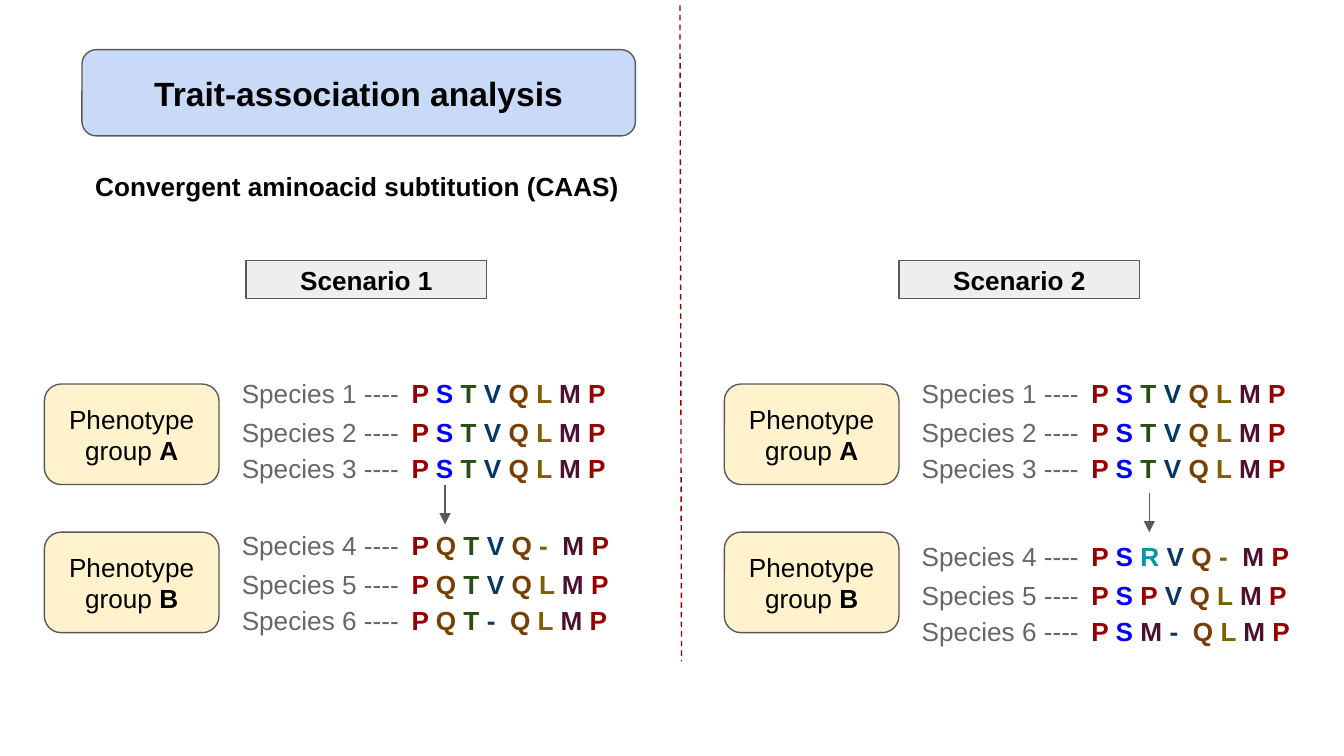
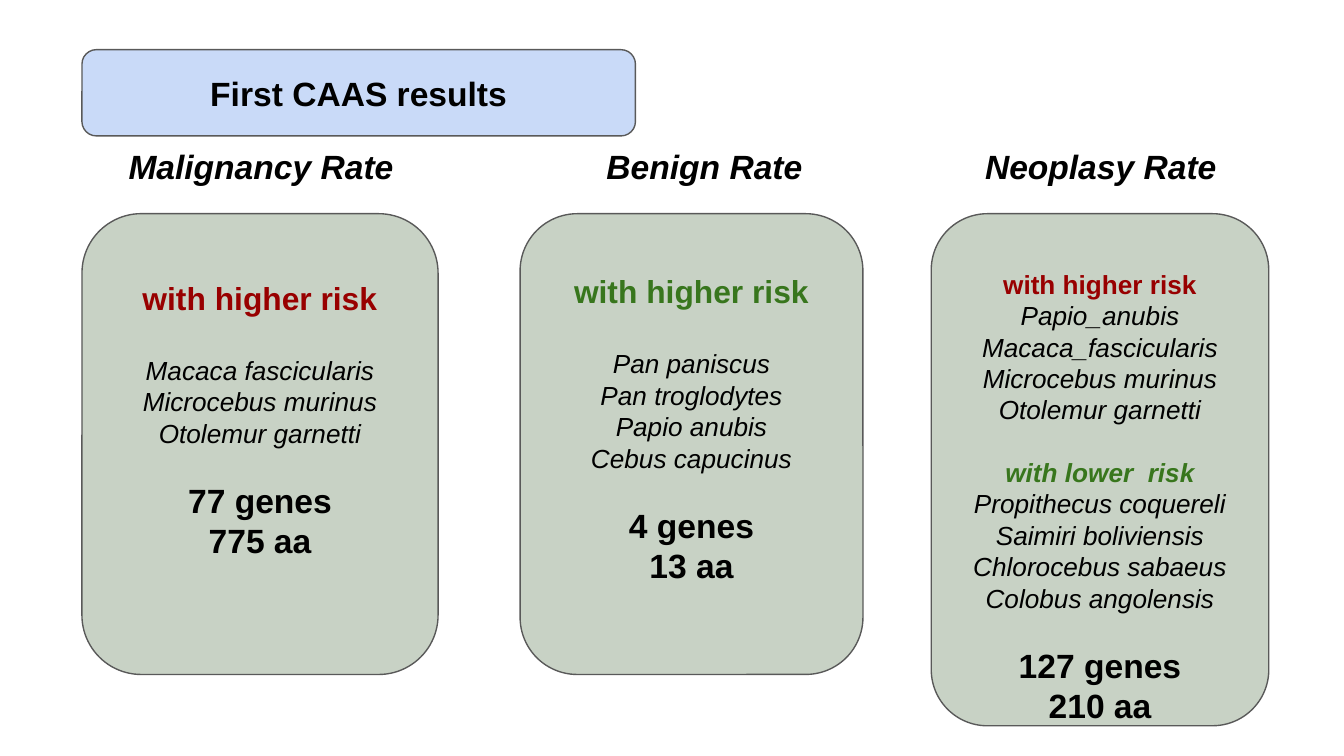
"""Build two slides on convergent aminoacid substitution analysis."""
from dataclasses import dataclass
from typing import NamedTuple, Sequence

from lxml.etree import SubElement
from pptx import Presentation
from pptx.dml.color import RGBColor
from pptx.enum.dml import MSO_LINE_DASH_STYLE as DASH
from pptx.enum.shapes import MSO_CONNECTOR as CONN, MSO_SHAPE as SHAPE
from pptx.enum.text import MSO_ANCHOR as ANCHOR, PP_ALIGN as ALIGN
from pptx.oxml.ns import qn
from pptx.util import Cm, Pt


@dataclass(frozen=True)
class Theme:
    font: str = "Arial"
    ink: str = "000000"
    grey: str = "666666"
    outline: str = "595959"
    title_fill: str = "C9DAF8"
    scenario_fill: str = "EEEEEE"
    group_fill: str = "FFF2CC"
    card_fill: str = "C8D2C5"
    red: str = "980000"
    green: str = "38761D"
    body: int = 14
    risk: int = 17
    title: int = 18
    spacer: int = 10
    line: float = 0.75
    inset: float = 0.25


T = Theme()
RESIDUES = {"P": T.red, "S": "0000FF", "T": "274E13", "V": "073763", "Q": "783F04",
            "L": "7F6000", "M": "4C1130", "R": "0097A7"}
CONSENSUS = "PSTVQLMP"


class Box(NamedTuple):
    x: float
    y: float
    w: float
    h: float


class Run(NamedTuple):
    text: str
    size: int = T.body
    color: str = T.ink
    bold: bool = False
    italic: bool = False


class Para(NamedTuple):
    runs: Sequence[Run]
    before: float = 0


class Scenario(NamedTuple):
    name: str
    shift: float
    label_x: float
    group_b: Sequence[str]
    group_b_y: float
    arrow_x: float
    arrow_y: float


class Block(NamedTuple):
    heading: Run
    species: Sequence[str]
    gap: float


class Card(NamedTuple):
    name: str
    name_x: float
    box: Box
    blocks: Sequence[Block]
    totals: Sequence[str]
    top: float = T.inset
    bottom: float = T.inset


SCENARIOS = (
    Scenario("Scenario 1", 0, 4.65, ("PQTVQ-MP", "PQTVQLMP", "PQT-QLMP"), 9.75, 8.41, 9.17),
    Scenario("Scenario 2", 12.85, 16.99, ("PSRVQ-MP", "PSPVQLMP", "PSM-QLMP"), 9.96, 21.72, 9.32),
)
GROUP_A = (CONSENSUS,) * 3
ROW_STEPS = (0, 0.74, 1.43)
BODY_GAP, RISK_GAP = 16.8, 20.4

CARDS = (
    Card("Malignancy Rate", 1.91, Box(1.55, 4.04, 6.73, 8.71),
         (Block(Run("with higher risk", T.risk, T.red, True),
                ("Macaca fascicularis", "Microcebus murinus", "Otolemur garnetti"), RISK_GAP),),
         ("77 genes", "775 aa"), bottom=1.18),
    Card("Benign Rate", 10.29, Box(9.83, 4.04, 6.48, 8.71),
         (Block(Run("with higher risk", T.risk, T.green, True),
                ("Pan paniscus", "Pan troglodytes", "Papio anubis", "Cebus capucinus"), RISK_GAP),),
         ("4 genes", "13 aa"), bottom=0.84),
    Card("Neoplasy Rate", 17.78, Box(17.6, 4.04, 6.38, 9.68),
         (Block(Run("with higher risk", T.body, T.red, True),
                ("Papio_anubis", "Macaca_fascicularis", "Microcebus murinus",
                 "Otolemur garnetti"), 0),
          Block(Run("with lower  risk", T.body, T.green, True, True),
                ("Propithecus coquereli", "Saimiri boliviensis", "Chlorocebus sabaeus",
                 "Colobus angolensis"), 0)),
         ("127 genes", "210 aa"), top=1.02, bottom=0),
)


def write(sp, paras: Sequence[Para], align: ALIGN, anchor: ANCHOR,
          top: float = T.inset, bottom: float = T.inset) -> None:
    tf = sp.text_frame
    tf.word_wrap = True
    tf.vertical_anchor = anchor
    tf.margin_left = tf.margin_right = Cm(T.inset)
    tf.margin_top, tf.margin_bottom = Cm(top), Cm(bottom)
    for i, para in enumerate(paras):
        p = tf.add_paragraph() if i else tf.paragraphs[0]
        p.alignment = align
        p.space_before = Pt(para.before)
        for run in para.runs:
            r = p.add_run()
            r.text = run.text
            r.font.name = T.font
            r.font.size = Pt(run.size)
            r.font.bold = run.bold
            r.font.italic = run.italic
            r.font.color.rgb = RGBColor.from_string(run.color)


def add_panel(s, box: Box, fill: str, paras: Sequence[Para], kind: SHAPE = SHAPE.ROUNDED_RECTANGLE,
              top: float = T.inset, bottom: float = T.inset) -> None:
    sp = s.shapes.add_shape(kind, *map(Cm, box))
    sp.shadow.inherit = False
    sp.fill.solid()
    sp.fill.fore_color.rgb = RGBColor.from_string(fill)
    sp.line.color.rgb = RGBColor.from_string(T.outline)
    sp.line.width = Pt(T.line)
    write(sp, paras, ALIGN.CENTER, ANCHOR.MIDDLE, top, bottom)


def add_text(s, box: Box, runs: Sequence[Run], align: ALIGN = ALIGN.LEFT,
             top: float = T.inset) -> None:
    sp = s.shapes.add_textbox(*map(Cm, box))
    write(sp, [Para(runs)], align, ANCHOR.TOP, top)


def add_line(s, x1: float, y1: float, x2: float, y2: float, color: str,
             dashed: bool = False, arrow: bool = False) -> None:
    c = s.shapes.add_connector(CONN.STRAIGHT, *map(Cm, (x1, y1, x2, y2)))
    c.line.color.rgb = RGBColor.from_string(color)
    c.line.width = Pt(T.line)
    if dashed:
        c.line.dash_style = DASH.DASH
    if arrow:
        SubElement(c.line._get_or_add_ln(), qn("a:tailEnd"), type="triangle")
    SubElement(c._element.spPr, qn("a:effectLst"))


def add_title(s, text: str) -> None:
    add_panel(s, Box(1.55, 0.94, 10.46, 1.63), T.title_fill,
              [Para([Run(text, T.title, bold=True)])])


def sequence_runs(number: int, sequence: str) -> list[Run]:
    runs = [Run(f"Species {number} ---- ", color=T.grey), Run(" ", T.spacer, bold=True)]
    last = len(sequence) - 1
    for i, (residue, expected) in enumerate(zip(sequence, CONSENSUS)):
        gap = "" if i == last else "  " if residue == "-" else " "
        runs.append(Run(residue + gap, color=RESIDUES.get(residue, RESIDUES[expected]), bold=True))
    return runs


def add_scenario(s, sc: Scenario) -> None:
    add_panel(s, Box(sc.label_x, 4.93, 4.55, 0.71), T.scenario_fill,
              [Para([Run(sc.name, bold=True)])], SHAPE.RECTANGLE)
    groups = (("A", 7.26, 6.88, GROUP_A), ("B", 10.06, sc.group_b_y, sc.group_b))
    number = 1
    for group, box_y, rows_y, sequences in groups:
        add_panel(s, Box(0.84 + sc.shift, box_y, 3.3, 1.9), T.group_fill,
                  [Para([Run("Phenotype group "), Run(group, bold=True)])])
        for step, sequence in zip(ROW_STEPS, sequences):
            add_text(s, Box(4.32 + sc.shift, rows_y + step, 7.7, 0.69),
                     sequence_runs(number, sequence))
            number += 1
    add_line(s, sc.arrow_x, sc.arrow_y, sc.arrow_x, sc.arrow_y + 0.74, T.outline, arrow=True)


def add_card(s, card: Card) -> None:
    paras = []
    for i, block in enumerate(card.blocks):
        paras.append(Para([block.heading], BODY_GAP if i else 0))
        paras += [Para([Run(name, italic=True)], 0 if j else block.gap)
                  for j, name in enumerate(block.species)]
    paras += [Para([Run(total, T.title, bold=True)], 0 if j else BODY_GAP)
              for j, total in enumerate(card.totals)]
    add_panel(s, card.box, T.card_fill, paras, top=card.top, bottom=card.bottom)
    add_text(s, Box(card.name_x, 2.08, 6.05, 1.14),
             [Run(card.name, T.title, bold=True, italic=True)], ALIGN.CENTER, top=0.85)


def main() -> None:
    prs = Presentation()
    prs.slide_width, prs.slide_height = Cm(25.4), Cm(14.29)
    blank = prs.slide_layouts[6]

    s = prs.slides.add_slide(blank)
    add_title(s, "Trait-association analysis")
    add_text(s, Box(1.55, 2.97, 10.46, 1.57),
             [Run("Convergent aminoacid subtitution (CAAS)", bold=True)])
    add_line(s, 12.85, 0.1, 12.88, 12.5, T.red, dashed=True)
    for scenario in SCENARIOS:
        add_scenario(s, scenario)

    s = prs.slides.add_slide(blank)
    add_title(s, "First CAAS results")
    for card in CARDS:
        add_card(s, card)

    prs.save("out.pptx")


if __name__ == "__main__":
    main()
